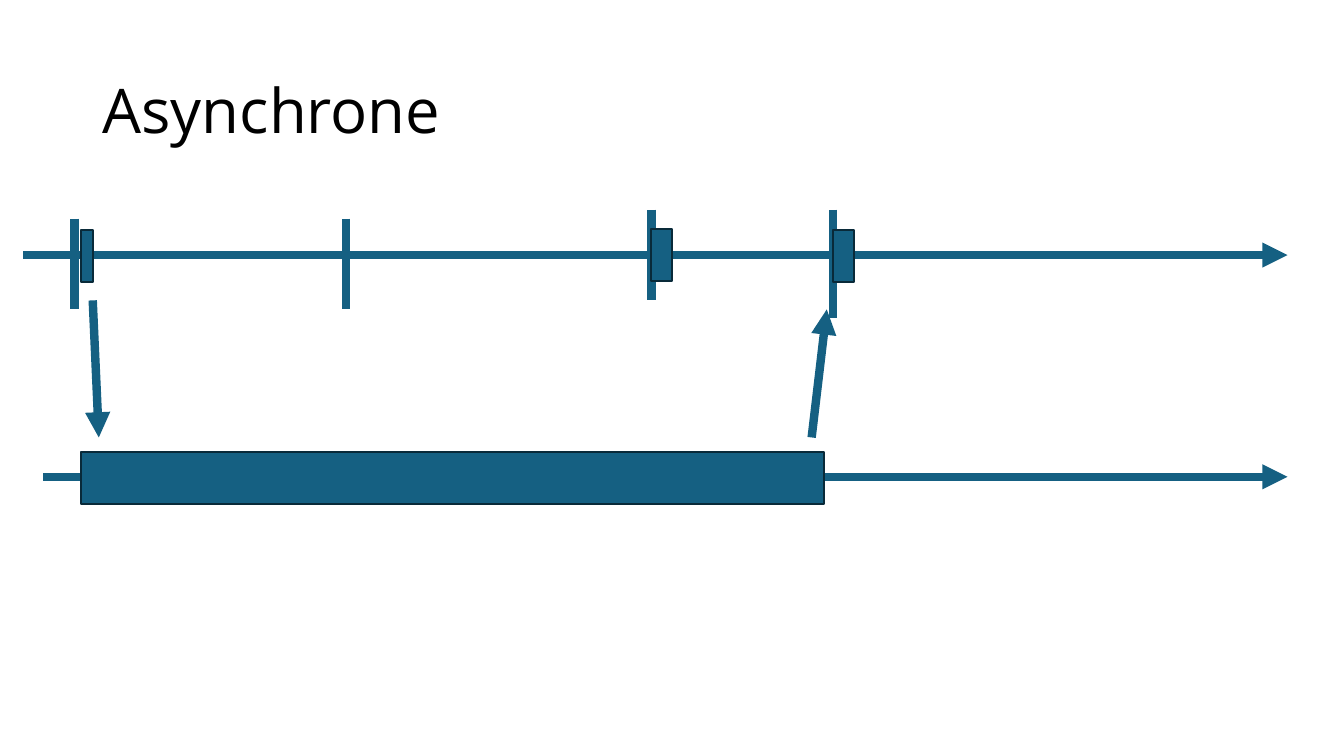
from lxml import etree
from pptx import Presentation
from pptx.dml.color import RGBColor
from pptx.enum.shapes import MSO_CONNECTOR, MSO_SHAPE
from pptx.enum.text import MSO_ANCHOR
from pptx.oxml.ns import qn
from pptx.util import Inches, Pt

STRAIGHT = MSO_CONNECTOR.STRAIGHT
RECTANGLE = MSO_SHAPE.RECTANGLE
MIDDLE = MSO_ANCHOR.MIDDLE

BLUE = RGBColor(0x15, 0x60, 0x82)
DARK_BLUE = RGBColor(0x09, 0x2A, 0x39)
BLACK = RGBColor(0x00, 0x00, 0x00)
FONT = "Open Sans"


def add_text(slide, box, text, size=18, color=BLACK, line_spacing=1.0):
    left, top, width, height = map(Inches, box)
    frame = slide.shapes.add_textbox(left, top, width, height).text_frame
    frame.word_wrap = True
    frame.vertical_anchor = MIDDLE
    paragraph = frame.paragraphs[0]
    paragraph.line_spacing = line_spacing
    run = paragraph.add_run()
    run.text = text
    run.font.name = FONT
    run.font.size = Pt(size)
    run.font.color.rgb = color


def add_line(slide, start, end, arrow=False):
    line = slide.shapes.add_connector(STRAIGHT, *map(Inches, (*start, *end)))
    line.line.color.rgb = BLUE
    line.line.width = Pt(6)
    if arrow:
        outline = line.line._get_or_add_ln()
        etree.SubElement(outline, qn("a:tailEnd"), type="triangle")
    etree.SubElement(line._element.spPr, qn("a:effectLst"))


def add_task(slide, left, top, width, height=0.52):
    task = slide.shapes.add_shape(RECTANGLE, *map(Inches, (left, top, width, height)))
    task.shadow.inherit = False
    task.fill.solid()
    task.fill.fore_color.rgb = BLUE
    task.line.color.rgb = DARK_BLUE
    task.line.width = Pt(1.5)


def add_timeline(slide, box, ticks=(), tasks=()):
    left, top, width, axis = box
    add_line(slide, (left, top + axis), (left + width, top + axis), arrow=True)
    for x, offset, length in ticks:
        add_line(slide, (left + x, top + offset), (left + x, top + offset + length))
    for x, offset, task_width in tasks:
        add_task(slide, left + x, top + offset, task_width)


def add_messages(slide, box):
    left, top, width, height = box
    bottom = top + height
    add_line(slide, (left, top), (left + 0.06, bottom), arrow=True)
    add_line(slide, (left + width - 0.15, bottom), (left + width, top + 0.09), arrow=True)


def main():
    presentation = Presentation()
    presentation.slide_width = Inches(13.33)
    presentation.slide_height = Inches(7.5)
    slide = presentation.slides.add_slide(presentation.slide_layouts[6])

    add_text(slide, (0.92, 0.4, 11.5, 1.45), "Asynchrone", size=44, line_spacing=0.9)
    add_timeline(
        slide,
        (0.23, 2.08, 12.54, 0.45),
        ticks=[(0.51, 0.09, 0.9), (3.2, 0.09, 0.9), (6.23, 0, 0.9), (8.03, 0, 1.07)],
        tasks=[(0.57, 0.2, 0.12), (6.23, 0.19, 0.21), (8.03, 0.2, 0.21)],
    )
    add_timeline(slide, (0.43, 4.48, 12.34, 0.25), tasks=[(0.37, 0, 7.37)])
    add_messages(slide, (0.92, 2.98, 7.28, 1.36))

    presentation.save("out.pptx")


if __name__ == "__main__":
    main()
